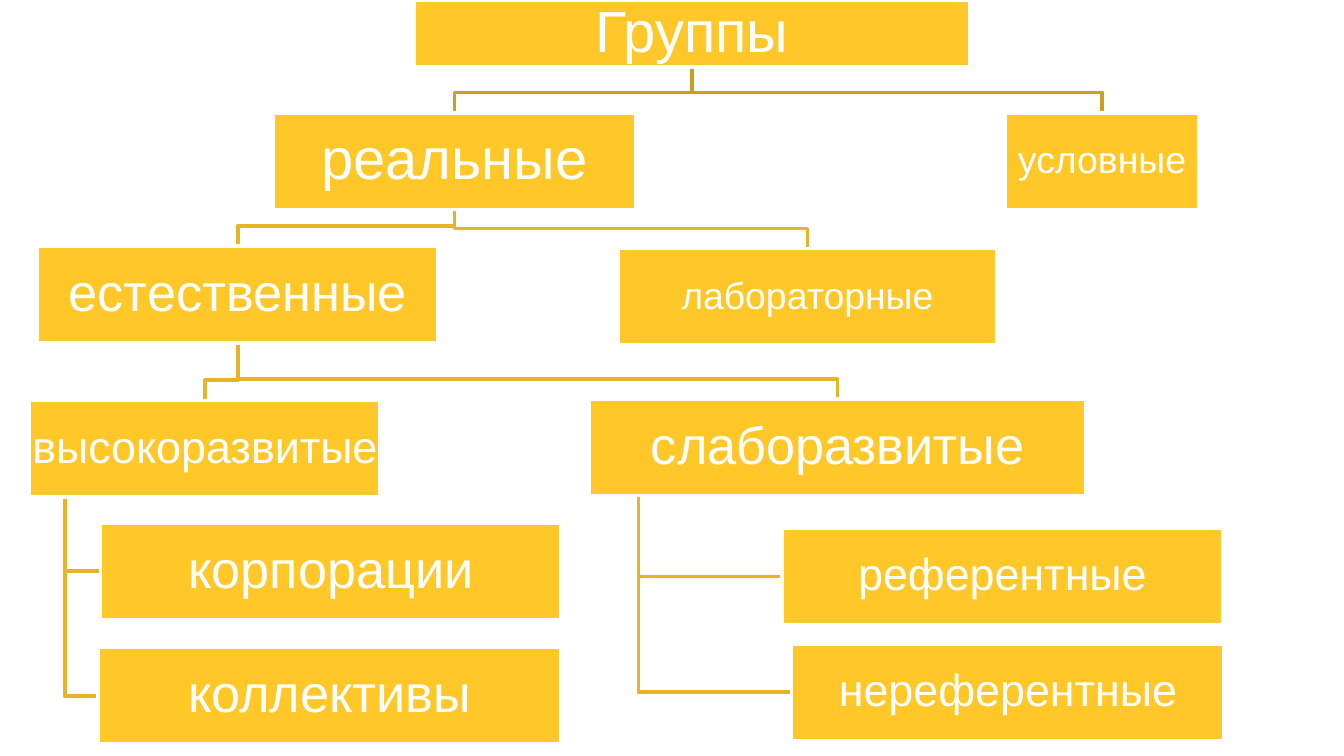
from pptx import Presentation
from pptx.dml.color import RGBColor
from pptx.enum import shapes, text
from pptx.util import Cm, Pt

GOLD, WHITE = "FFC727", "FFFFFF"
TOP_LINK, LOWER_LINK = "CC9F1F", "E7B523"
BOX_HEIGHT = 1.83
ELBOW_RISE = 0.38

GROUPS = {
    "Группы": (7.82, 0, 10.52, 1.27, 31),
    "реальные": (5.16, 2.13, 6.86, BOX_HEIGHT, 31),
    "естественные": (0.71, 4.65, 7.57, BOX_HEIGHT, 28),
    "высокоразвитые": (0.56, 7.57, 6.63, BOX_HEIGHT, 24),
    "корпорации": (1.9, 9.88, 8.71, BOX_HEIGHT, 28),
    "коллективы": (1.85, 12.24, 8.76, BOX_HEIGHT, 28),
    "слаборазвитые": (11.13, 7.54, 9.4, BOX_HEIGHT, 28),
    "референтные": (14.78, 9.98, 8.33, BOX_HEIGHT, 24),
    "нереферентные": (14.96, 12.17, 8.18, BOX_HEIGHT, 24),
    "лабораторные": (11.68, 4.7, 7.16, BOX_HEIGHT, 20),
    "условные": (19, 2.13, 3.66, BOX_HEIGHT, 20),
}

BRANCHES = [
    ("Группы", ["условные", "реальные"], TOP_LINK, False),
    ("реальные", ["лабораторные", "естественные"], LOWER_LINK, False),
    ("слаборазвитые", ["нереферентные", "референтные"], LOWER_LINK, True),
    ("естественные", ["слаборазвитые", "высокоразвитые"], LOWER_LINK, False),
    ("высокоразвитые", ["коллективы", "корпорации"], LOWER_LINK, True),
]


def rgb(value):
    return RGBColor.from_string(value)


def set_outline(shape, colour):
    shape.shadow.inherit = False
    shape.line.color.rgb = rgb(colour)
    shape.line.width = Pt(2)


def link_route(parent, child, hanging):
    left, top, width, height, _ = GROUPS[parent]
    child_left, child_top, child_width, child_height, _ = GROUPS[child]
    bottom = top + height
    if hanging:
        trunk = left + width / 10
        middle = child_top + child_height / 2
        return [(trunk, bottom), (trunk, middle), (child_left, middle)]
    centre, child_centre = left + width / 2, child_left + child_width / 2
    elbow = child_top - ELBOW_RISE
    return [(centre, bottom), (centre, elbow), (child_centre, elbow), (child_centre, child_top)]


def add_link(slide, route, colour):
    start, *rest = [(Cm(x), Cm(y)) for x, y in route]
    builder = slide.shapes.build_freeform(*start)
    builder.add_line_segments(rest, close=False)
    link = builder.convert_to_shape()
    link.fill.background()
    set_outline(link, colour)


def add_group(slide, label, left, top, width, height, size):
    box = slide.shapes.add_shape(
        shapes.MSO_SHAPE.RECTANGLE, Cm(left), Cm(top), Cm(width), Cm(height))
    box.fill.solid()
    box.fill.fore_color.rgb = rgb(GOLD)
    set_outline(box, WHITE)
    frame = box.text_frame
    frame.word_wrap = False
    frame.vertical_anchor = text.MSO_ANCHOR.MIDDLE
    frame.margin_left = frame.margin_right = Cm(0.05)
    frame.margin_top = frame.margin_bottom = Cm(0.05)
    paragraph = frame.paragraphs[0]
    paragraph.text = label
    paragraph.alignment = text.PP_ALIGN.CENTER
    paragraph.line_spacing = 0.9
    paragraph.font.name = "Arial"
    paragraph.font.size = Pt(size)
    paragraph.font.color.rgb = rgb(WHITE)


def main():
    deck = Presentation()
    deck.slide_width, deck.slide_height = Cm(25.4), Cm(14.29)
    slide = deck.slides.add_slide(deck.slide_layouts[6])
    for parent, children, colour, hanging in BRANCHES:
        for child in children:
            add_link(slide, link_route(parent, child, hanging), colour)
    for label, layout in GROUPS.items():
        add_group(slide, label, *layout)
    deck.save("out.pptx")


if __name__ == "__main__":
    main()
